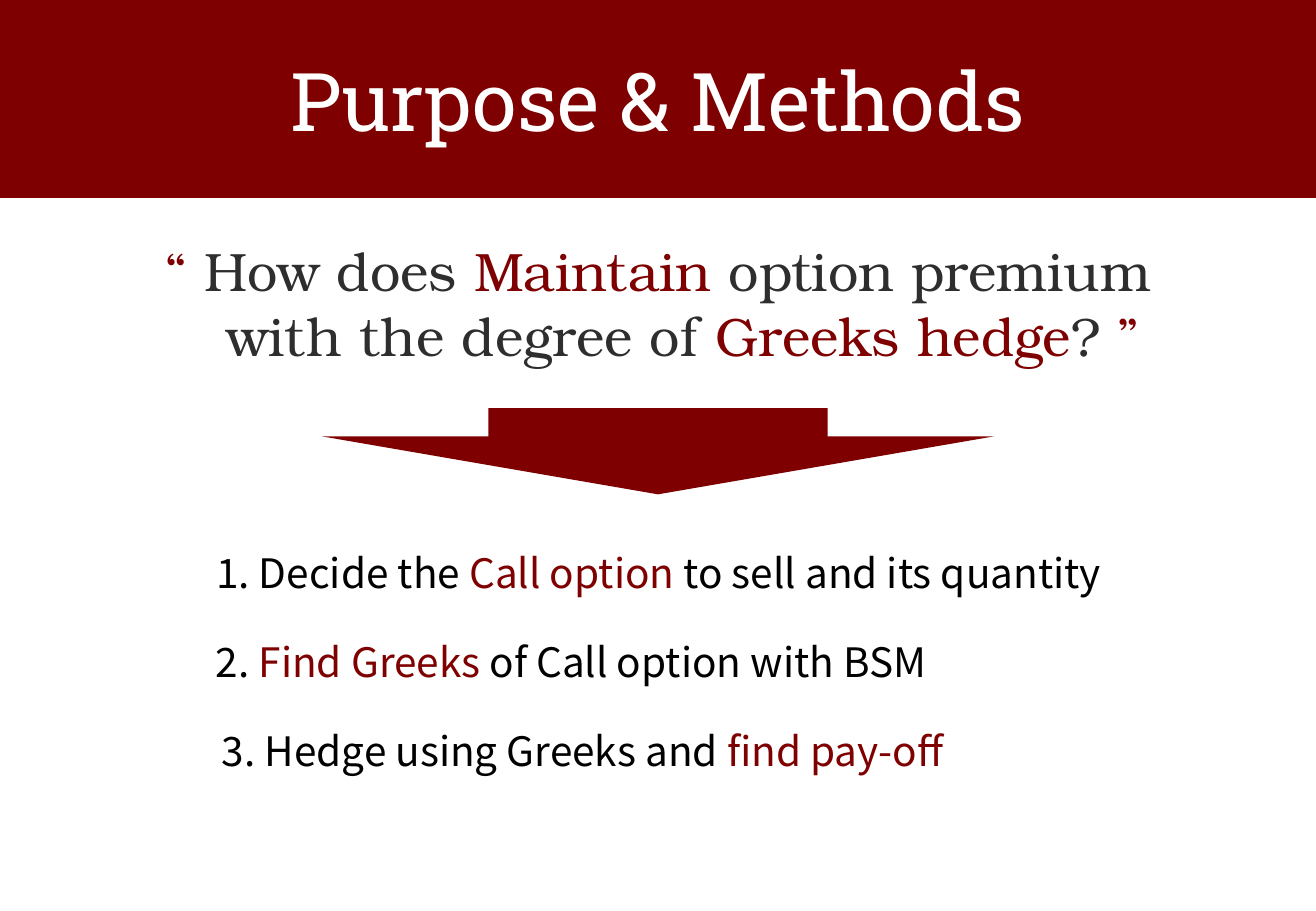
from pptx import Presentation
from pptx.dml.color import RGBColor
from pptx.enum.shapes import MSO_SHAPE as Shape
from pptx.enum.text import MSO_ANCHOR as Anchor, MSO_AUTO_SIZE as AutoSize, PP_ALIGN as Align
from pptx.util import Inches, Pt

RED, GREY, BLACK, WHITE = "7E0000", "2E2E2E", "000000", "FFFFFF"
TITLE_FONT, QUOTE_FONT, STEP_FONT = "Roboto Slab", "TeX Gyre Bonum", "Noto Sans CJK KR"

QUOTE = [
    [("“ ", RED), ("How does ", GREY), ("Maintain ", RED), ("option premium", GREY)],
    [("with the degree of ", GREY), ("Greeks hedge", RED), ("? ", GREY), ("”", RED)],
]
# Each step: box width and coloured spans
STEPS = [
    (7.88, [("1. Decide the ", BLACK), ("Call option ", RED), ("to sell and its quantity", BLACK)]),
    (6.44, [("2. ", BLACK), ("Find Greeks ", RED), ("of Call option with BSM", BLACK)]),
    (6.63, [("3. Hedge using Greeks and ", BLACK), ("find pay-off", RED)]),
]
STEP_TOP, STEP_PITCH = 4.46, 0.735


def color(value):
    return RGBColor.from_string(value)


def write(para, spans, font, size, indent=0):
    """Fill a centred paragraph with (text, colour) spans."""
    para.alignment = Align.CENTER
    if indent:
        props = para._p.get_or_add_pPr()
        props.set("marL", str(Inches(indent)))
        props.set("indent", "0")
    for text, fill in spans:
        span = para.add_run()
        span.text = text
        span.font.name = font
        span.font.size = Pt(size)
        span.font.color.rgb = color(fill)


def add_block(page, kind, left, top, width, height):
    block = page.shapes.add_shape(
        kind, Inches(left), Inches(top), Inches(width), Inches(height))
    block.shadow.inherit = False
    block.fill.solid()
    block.fill.fore_color.rgb = color(RED)
    block.line.fill.background()
    return block


def add_text(page, left, top, width, height, wrap=False):
    box = page.shapes.add_textbox(
        Inches(left), Inches(top), Inches(width), Inches(height))
    frame = box.text_frame
    frame.word_wrap = wrap
    frame.auto_size = AutoSize.SHAPE_TO_FIT_TEXT
    return frame


def main():
    deck = Presentation()
    deck.slide_width, deck.slide_height = Inches(10.83), Inches(7.5)
    page = deck.slides.add_slide(deck.slide_layouts[6])

    # Title band
    band = add_block(page, Shape.RECTANGLE, 0, 0, 10.83, 1.63)
    band.text_frame.vertical_anchor = Anchor.MIDDLE
    write(band.text_frame.paragraphs[0], [("Purpose & Methods", WHITE)], TITLE_FONT, 48)

    # Question, second line shifted past the opening quote mark
    question = add_text(page, 1.05, 1.91, 8.74, 1.18, wrap=True)
    write(question.paragraphs[0], QUOTE[0], QUOTE_FONT, 32)
    write(question.add_paragraph(), QUOTE[1], QUOTE_FONT, 32, indent=0.4)

    # Arrow from question to steps
    arrow = add_block(page, Shape.DOWN_ARROW, 2.65, 3.36, 5.53, 0.71)
    arrow.adjustments[0] = 0.505
    arrow.adjustments[1] = 0.672

    # Steps
    for index, (width, spans) in enumerate(STEPS):
        step = add_text(page, 1.48, STEP_TOP + index * STEP_PITCH, width, 0.5)
        write(step.paragraphs[0], spans, STEP_FONT, 24)

    deck.save("out.pptx")


if __name__ == "__main__":
    main()
